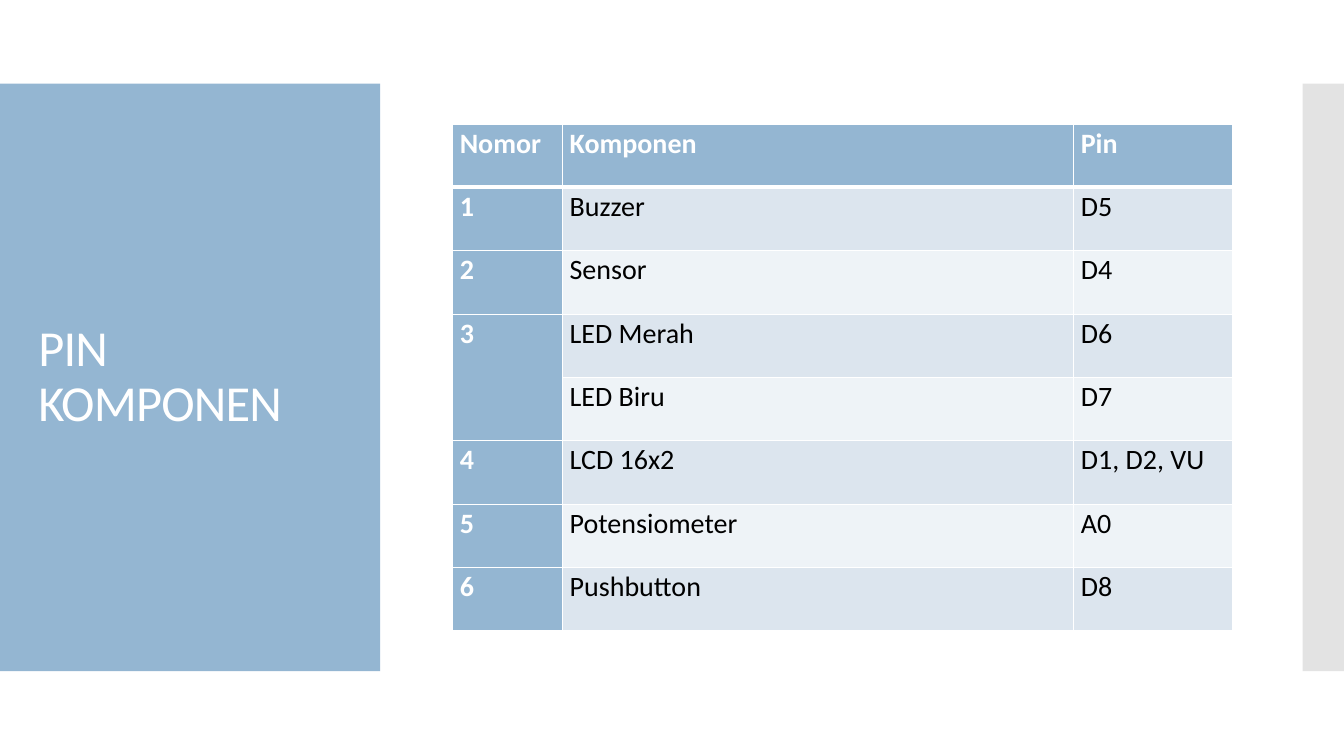
from dataclasses import dataclass

from lxml import etree
from pptx import Presentation
from pptx.dml.color import RGBColor
from pptx.enum.shapes import MSO_SHAPE
from pptx.enum.text import MSO_ANCHOR, PP_ALIGN
from pptx.oxml.ns import qn
from pptx.slide import Slide
from pptx.table import Table, _Cell
from pptx.util import Inches, Pt

RECTANGLE = MSO_SHAPE.RECTANGLE
MIDDLE, TOP = MSO_ANCHOR.MIDDLE, MSO_ANCHOR.TOP
LEFT, JUSTIFY = PP_ALIGN.LEFT, PP_ALIGN.JUSTIFY
TITLE_ONLY = 5


@dataclass(frozen=True)
class Theme:
    font: str = "Calibri"
    title_size: int = 36
    table_size: int = 20
    accent: str = "94B6D2"
    edge: str = "C8C8C8"
    light: str = "FFFFFF"
    dark: str = "000000"
    bands: tuple[str, str] = ("DCE5EE", "EEF3F7")


@dataclass(frozen=True)
class Panel:
    left: float
    width: float
    color: str
    opacity: int = 100


@dataclass(frozen=True)
class PinRow:
    number: str
    component: str
    pin: str


THEME = Theme()
PANELS = [Panel(0, 3.77, THEME.accent), Panel(12.92, 0.42, THEME.edge, 50)]
HEADER = PinRow("Nomor", "Komponen", "Pin")
ROWS = [
    PinRow("1", "Buzzer", "D5"),
    PinRow("2", "Sensor", "D4"),
    PinRow("3", "LED Merah", "D6"),
    PinRow("", "LED Biru", "D7"),
    PinRow("4", "LCD 16x2", "D1, D2, VU"),
    PinRow("5", "Potensiometer", "A0"),
    PinRow("6", "Pushbutton", "D8"),
]
COLUMN_WIDTHS = [1.09, 5.07, 1.58]
CONTENT_TOP, CONTENT_HEIGHT = 1.23, 5.03


def draw_panel(s: Slide, panel: Panel) -> None:
    sp = s.shapes.add_shape(RECTANGLE, Inches(panel.left), Inches(0.83),
                            Inches(panel.width), Inches(5.83))
    sp.shadow.inherit = False
    sp.line.fill.background()
    sp.fill.solid()
    sp.fill.fore_color.rgb = RGBColor.from_string(panel.color)
    if panel.opacity < 100:
        color = sp.element.spPr.find(qn("a:solidFill")).find(qn("a:srgbClr"))
        etree.SubElement(color, qn("a:alpha"), val=str(panel.opacity * 1000))


def draw_title(s: Slide, text: str) -> None:
    sp = s.shapes.title
    sp.left, sp.top = Inches(0.28), Inches(CONTENT_TOP)
    sp.width, sp.height = Inches(3.22), Inches(CONTENT_HEIGHT)
    tf = sp.text_frame
    tf.word_wrap = True
    tf.vertical_anchor = MIDDLE
    p = tf.paragraphs[0]
    p.alignment = LEFT
    p.line_spacing = 0.9
    r = p.add_run()
    r.text = text
    r.font.name = THEME.font
    r.font.size = Pt(THEME.title_size)
    r.font.color.rgb = RGBColor.from_string(THEME.light)
    r.font._element.set("spc", "-60")
    sp.element.getparent().append(sp.element)


def set_borders(cell: _Cell, widths: dict[str, int]) -> None:
    tc_pr = cell._tc.get_or_add_tcPr()
    for i, (side, width) in enumerate(widths.items()):
        ln = etree.Element(qn(f"a:ln{side}"), w=str(Pt(width)))
        fill = etree.SubElement(ln, qn("a:solidFill"))
        etree.SubElement(fill, qn("a:srgbClr"), val=THEME.light)
        tc_pr.insert(i, ln)


def fill_cell(table: Table, row: int, col: int, text: str) -> None:
    cell = table.cell(row, col)
    strong = row == 0 or col == 0
    color = THEME.accent if strong else THEME.bands[(row - 1) % 2]
    cell.fill.solid()
    cell.fill.fore_color.rgb = RGBColor.from_string(color)
    set_borders(cell, {"L": 1, "R": 1, "T": 3 if row == 1 else 1,
                       "B": 3 if row == 0 else 1})
    cell.margin_left = cell.margin_right = Inches(0.07)
    cell.margin_top = cell.margin_bottom = 0
    cell.vertical_anchor = TOP
    if not text:
        return
    p = cell.text_frame.paragraphs[0]
    p.alignment = LEFT if row == 0 else JUSTIFY
    p.line_spacing = 1.07
    r = p.add_run()
    r.text = text
    r.font.name = THEME.font
    r.font.size = Pt(THEME.table_size)
    r.font.bold = strong
    r.font.color.rgb = RGBColor.from_string(THEME.light if strong else THEME.dark)


def draw_pin_table(s: Slide) -> None:
    rows = [HEADER, *ROWS]
    frame = s.shapes.add_table(len(rows), len(COLUMN_WIDTHS), Inches(4.49),
                               Inches(CONTENT_TOP), Inches(sum(COLUMN_WIDTHS)),
                               Inches(CONTENT_HEIGHT))
    table = frame.table
    table.first_col = True
    for column, width in zip(table.columns, COLUMN_WIDTHS):
        column.width = Inches(width)
    for i, row in enumerate(rows):
        for j, text in enumerate((row.number, row.component, row.pin)):
            fill_cell(table, i, j, text)
        if not row.number:
            table.cell(i - 1, 0).merge(table.cell(i, 0))


def main() -> None:
    prs = Presentation()
    prs.slide_width, prs.slide_height = Inches(13.33), Inches(7.5)
    s = prs.slides.add_slide(prs.slide_layouts[TITLE_ONLY])
    for panel in PANELS:
        draw_panel(s, panel)
    draw_title(s, "PIN KOMPONEN")
    draw_pin_table(s)
    prs.save("out.pptx")


if __name__ == "__main__":
    main()
